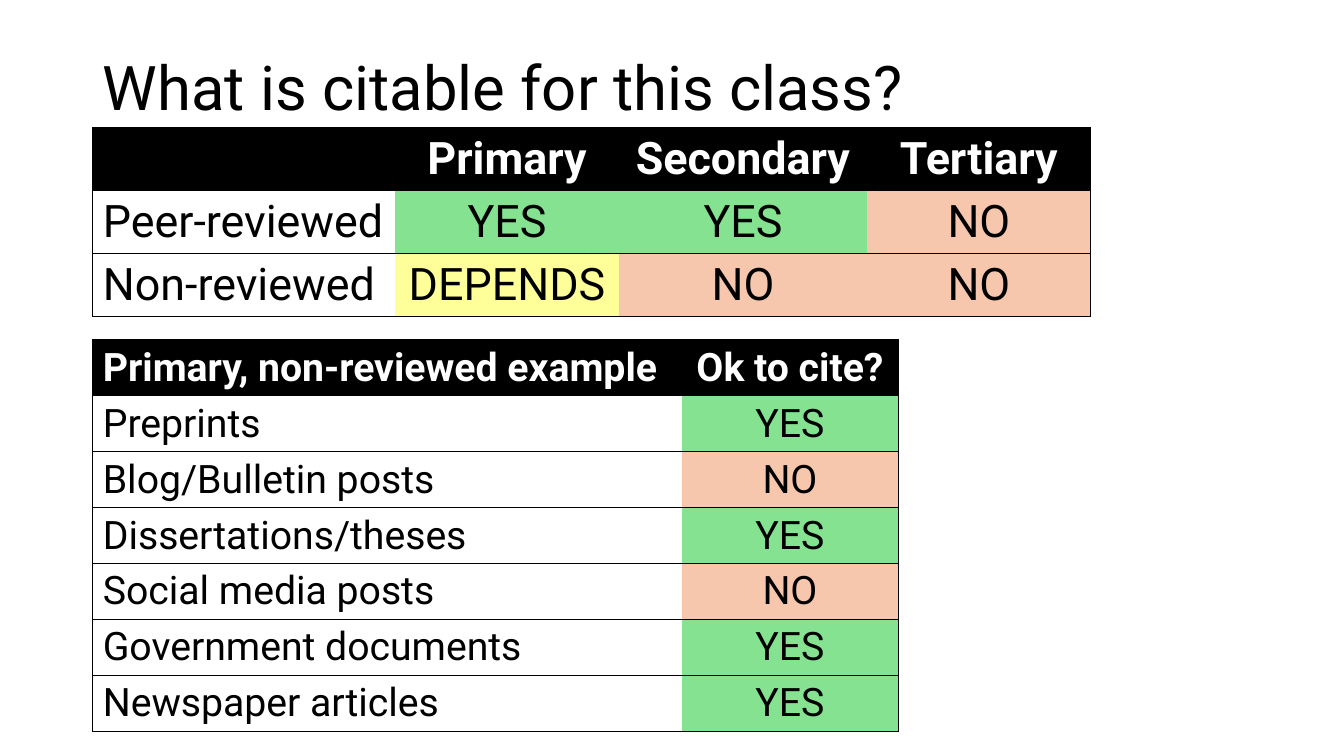
import lxml.etree
import pptx
import pptx.dml.color
import pptx.enum.text
import pptx.oxml.ns
import pptx.util

Inches = pptx.util.Inches
ALIGN = pptx.enum.text.PP_ALIGN
ANCHOR = pptx.enum.text.MSO_ANCHOR
FONT = "Roboto"
BLACK, WHITE = "000000", "FFFFFF"
ANSWER_FILLS = {"YES": "84E291", "NO": "F6C6AD", "DEPENDS": "FFFF99"}
LEFT = 0.92

SOURCE_TYPES = [
    ["", "Primary", "Secondary", "Tertiary"],
    ["Peer-reviewed", "YES", "YES", "NO"],
    ["Non-reviewed", "DEPENDS", "NO", "NO"],
]
EXAMPLES = [
    ["Primary, non-reviewed example", "Ok to cite?"],
    ["Preprints", "YES"],
    ["Blog/Bulletin posts", "NO"],
    ["Dissertations/theses", "YES"],
    ["Social media posts", "NO"],
    ["Government documents", "YES"],
    ["Newspaper articles", "YES"],
]


def rgb(color):
    """Turn a hex string into a colour."""
    return pptx.dml.color.RGBColor.from_string(color)


def write(p, text, color, align, **font):
    """Put one formatted run into a paragraph."""
    p.alignment = align
    r = p.add_run()
    r.text = text
    r.font.color.rgb = rgb(color)
    for name, value in {"name": FONT, **font}.items():
        setattr(r.font, name, value)


def set_borders(cell, visible):
    """Draw the visible sides of a cell in black and hide the others."""
    tc_pr = cell._tc.get_or_add_tcPr()
    qn = pptx.oxml.ns.qn
    for i, side in enumerate("LRTB"):
        ln = lxml.etree.Element(qn(f"a:ln{side}"), w=str(pptx.util.Pt(1)))
        if side in visible:
            fill = lxml.etree.SubElement(ln, qn("a:solidFill"))
            lxml.etree.SubElement(fill, qn("a:srgbClr"), val=BLACK)
        else:
            lxml.etree.SubElement(ln, qn("a:noFill"))
        tc_pr.insert(i, ln)


def fill_cell(cell, color):
    """Fill a cell, or leave it clear when there is no colour."""
    if color:
        cell.fill.solid()
        cell.fill.fore_color.rgb = rgb(color)
    else:
        cell.fill.background()


def add_title(slide, text):
    """Place and format the title placeholder."""
    sp = slide.shapes.title
    box = {"left": LEFT, "top": 0.17, "width": 11.5, "height": 1.45}
    for name, value in box.items():
        setattr(sp, name, Inches(value))
    tf = sp.text_frame
    tf.vertical_anchor = ANCHOR.MIDDLE
    p = tf.paragraphs[0]
    p.line_spacing = 0.9
    write(p, text, BLACK, ALIGN.LEFT, size=pptx.util.Pt(44))


def add_answer_table(slide, rows, top, widths, row_height, size):
    """Add a table with a black header and answers coloured by value."""
    frame = slide.shapes.add_table(
        len(rows), len(widths), Inches(LEFT), Inches(top),
        Inches(sum(widths)), Inches(row_height * len(rows)))
    table = frame.table
    table.first_row = table.horz_banding = False
    for column, width in zip(table.columns, widths):
        column.width = Inches(width)
    for i, row in enumerate(rows):
        table.rows[i].height = Inches(row_height)
        header = i == 0
        for j, text in enumerate(row):
            cell = table.cell(i, j)
            fill_cell(cell, BLACK if header else ANSWER_FILLS.get(text))
            sides = "TB" + "L" * (j == 0) + "R" * (j == len(row) - 1)
            set_borders(cell, sides)
            if text:
                write(cell.text_frame.paragraphs[0], text,
                      WHITE if header else BLACK,
                      ALIGN.CENTER if j else ALIGN.LEFT,
                      size=pptx.util.Pt(size), bold=header)


def main():
    """Build the slide and save it."""
    prs = pptx.Presentation()
    prs.slide_width, prs.slide_height = Inches(13.33), Inches(7.5)
    slide = prs.slides.add_slide(prs.slide_layouts.get_by_name("Title Only"))
    add_title(slide, "What is citable for this class?")
    add_answer_table(slide, SOURCE_TYPES, 1.27, [3, 2.22, 2.46, 2.22], 0.62, 32)
    add_answer_table(slide, EXAMPLES, 3.37, [5.84, 2.15], 0.55, 28)
    prs.save("out.pptx")


if __name__ == "__main__":
    main()
